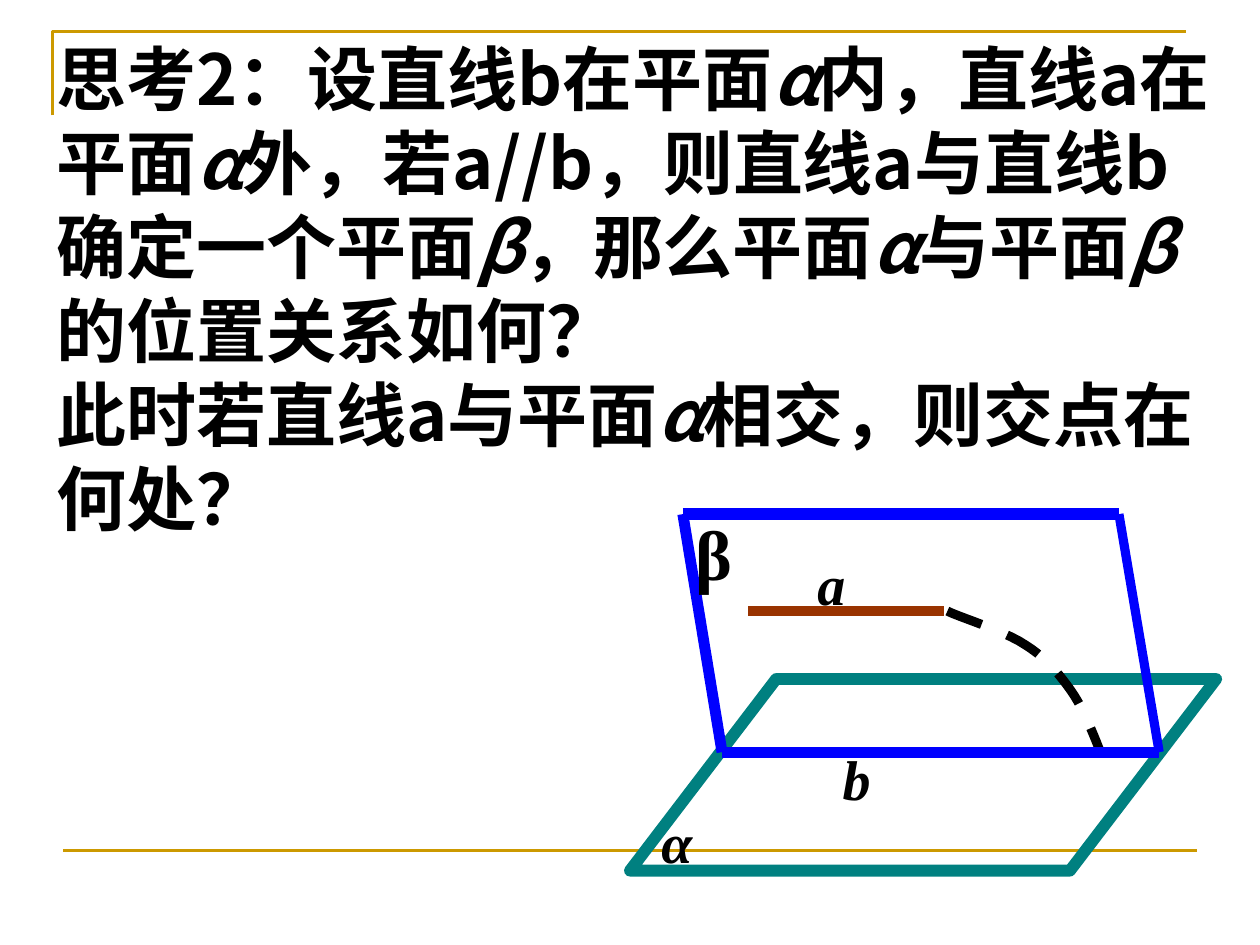
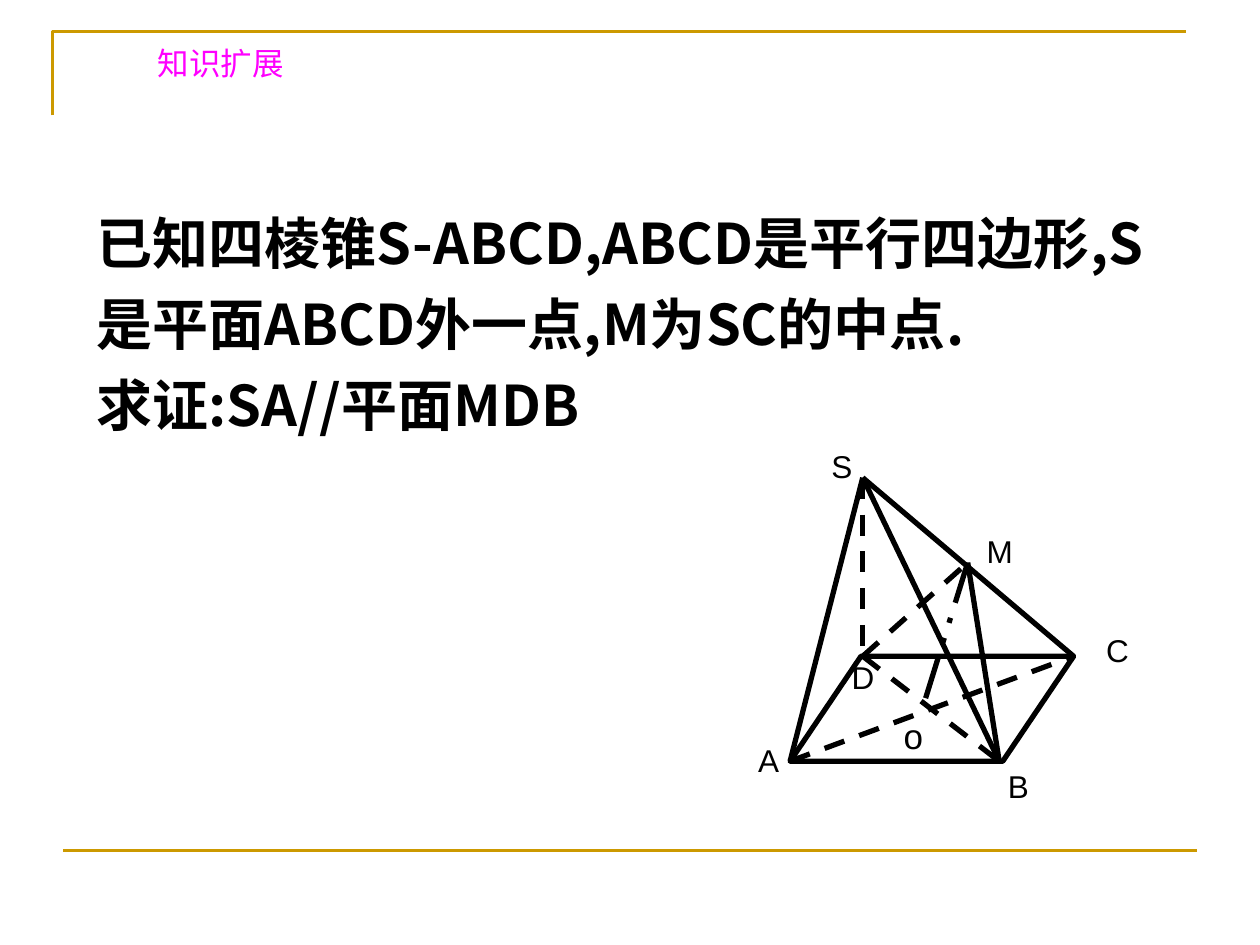
"""Build two geometry slides: a line parallel to a plane, and a pyramid proof."""
from itertools import groupby

from lxml import etree
from pptx import Presentation
from pptx.dml.color import RGBColor
from pptx.enum.dml import MSO_LINE
from pptx.enum.shapes import MSO_CONNECTOR, MSO_SHAPE
from pptx.enum.text import MSO_ANCHOR, MSO_AUTO_SIZE, PP_ALIGN
from pptx.oxml.ns import qn
from pptx.util import Pt

STRAIGHT = MSO_CONNECTOR.STRAIGHT
PARALLELOGRAM = MSO_SHAPE.PARALLELOGRAM
SOLID, DASH, DASH_DOTS = MSO_LINE.SOLID, MSO_LINE.DASH, MSO_LINE.DASH_DOT_DOT
TOP = MSO_ANCHOR.TOP
FIXED = MSO_AUTO_SIZE.NONE
LEFT, CENTER = PP_ALIGN.LEFT, PP_ALIGN.CENTER

GOLD = RGBColor(0xCC, 0x99, 0x00)
BLACK = RGBColor(0x00, 0x00, 0x00)
WHITE = RGBColor(0xFF, 0xFF, 0xFF)
TEAL = RGBColor(0x00, 0x80, 0x80)
BROWN = RGBColor(0x99, 0x33, 0x00)
BLUE = RGBColor(0x00, 0x00, 0xFF)
MAGENTA = RGBColor(0xFF, 0x00, 0xFF)
CHINESE, SERIF, SANS = "Noto Sans CJK SC", "Times New Roman", "Arial"


def add_line(page, start, end, color, width, dash=SOLID):
    """Draw a straight line between two points."""
    line = page.shapes.add_connector(STRAIGHT, *map(Pt, (*start, *end)))
    line.line.color.rgb = color
    line.line.width = Pt(width)
    line.line.dash_style = dash
    etree.SubElement(line.element.spPr, qn("a:effectLst"))
    return line


def add_label(page, text, place, size, font, align, bold=False, italic=False):
    """Write a letter beside a part of a diagram."""
    box = page.shapes.add_textbox(*map(Pt, place))
    box.text_frame.word_wrap = align == LEFT
    para = box.text_frame.paragraphs[0]
    para.text = text
    para.alignment = align
    para.font.size = Pt(size)
    para.font.name = font
    para.font.bold = bold
    para.font.italic = italic
    para.font.color.rgb = BLACK


deck = Presentation()
deck.slide_width, deck.slide_height = Pt(720), Pt(540)
master = deck.slide_master.element
for east_asian in master.iter(qn("a:ea")):
    east_asian.set("typeface", CHINESE)
body_level = next(master.iter(qn("p:bodyStyle"))).find(qn("a:lvl1pPr"))
body_level.set("marL", "0")
body_level.set("indent", "0")
body_level.replace(body_level.find(qn("a:buChar")), etree.Element(qn("a:buNone")))
layout = deck.slide_layouts[1]
planes = deck.slides.add_slide(layout)
pyramid = deck.slides.add_slide(layout)

unused_title = planes.shapes.title.element
unused_title.getparent().remove(unused_title)

title = pyramid.shapes.title
title.left, title.top, title.width, title.height = map(Pt, (36, 21.6, 180, 56))
title.text_frame.text = "知识扩展"
title.text_frame.vertical_anchor = TOP
title.text_frame.auto_size = FIXED
para = title.text_frame.paragraphs[0]
para.alignment = CENTER
para.font.size = Pt(18)
para.font.name = CHINESE
para.font.color.rgb = MAGENTA

questions = [
    (planes, (25.2, 16.6, 689, 295), 40, 1, [
        "思考2：设直线b在平面α内，直线a在平面α外，若a//b，则直线a与直线b"
        "确定一个平面β，那么平面α与平面β的位置关系如何？",
        "此时若直线a与平面α相交，则交点在何处？"]),
    (pyramid, (48, 108, 630, 145.5), 32, 1.2, [
        "已知四棱锥S-ABCD,ABCD是平行四边形,S是平面ABCD外一点,M为SC的中点.",
        "求证:SA//平面MDB"]),
]
for page, place, size, spacing, texts in questions:
    body = page.placeholders[1]
    body.left, body.top, body.width, body.height = map(Pt, place)
    frame = body.text_frame
    frame.auto_size = FIXED
    for index, text in enumerate(texts):
        para = frame.add_paragraph() if index else frame.paragraphs[0]
        para.space_before = Pt(0)
        para.line_spacing = spacing
        para.font.size = Pt(size)
        para.font.name = CHINESE
        para.font.bold = True
        para.font.color.rgb = BLACK
        for is_plane, letters in groupby(text, lambda letter: letter in "αβ"):
            span = para.add_run()
            span.text = "".join(letters)
            if is_plane:
                span.font.italic = True

alpha = planes.shapes.add_shape(PARALLELOGRAM, *map(Pt, (360, 388, 335, 109.5)))
alpha.adjustments[0] = 0.763
alpha.fill.background()
alpha.line.color.rgb = TEAL
alpha.line.width = Pt(6.75)
alpha.shadow.inherit = False

for text, place in [("b", (474.5, 422, 67, 63)), ("a", (460, 310.3, 67, 63)),
                    ("α", (370.8, 458, 55.5, 50.5))]:
    add_label(planes, text, place, 32, SERIF, LEFT, bold=True, italic=True)
add_line(planes, (427.7, 349.2), (539.3, 349.2), BROWN, 6)

curves = [
    ((541.4, 349.2), (548.6, 352.8), (574.6, 360.7), (586.1, 368.6)),
    ((586.1, 368.6), (597.6, 375.8), (604.8, 384.5), (612, 394.6)),
    ((612, 394.6), (619.2, 404.6), (625.7, 421.9), (628.6, 429.1)),
]
arc_points = []
for curve in curves:
    for step in range(1, 11):
        t = step / 10
        weights = ((1 - t) ** 3, 3 * t * (1 - t) ** 2, 3 * t * t * (1 - t), t ** 3)
        arc_points.append(tuple(
            Pt(sum(weight * point[axis] for weight, point in zip(weights, curve)))
            for axis in (0, 1)))
builder = planes.shapes.build_freeform(*map(Pt, curves[0][0]))
builder.add_line_segments(arc_points, close=False)
arc = builder.convert_to_shape()
arc.fill.background()
arc.line.color.rgb = BLACK
arc.line.width = Pt(5.25)
arc.line.dash_style = DASH
arc.shadow.inherit = False

top_left, top_right = (390.2, 293.8), (639.4, 293.8)
bottom_left, bottom_right = (412.6, 429.8), (662.4, 429.8)
for start, end, width in [(top_left, bottom_left, 6.25),
                          (top_right, bottom_right, 5.25),
                          (bottom_left, bottom_right, 6.25),
                          (top_left, top_right, 7)]:
    add_line(planes, start, end, BLUE, width)
add_label(planes, "β", (390.2, 288, 51, 55.5), 40, SERIF, LEFT, bold=True)

base = pyramid.shapes.add_shape(PARALLELOGRAM, *map(Pt, (451.5, 375, 162, 60)))
base.adjustments[0] = 0.675
base.fill.solid()
base.fill.fore_color.rgb = WHITE
base.line.color.rgb = BLACK
base.line.width = Pt(3)
base.shadow.inherit = False

vertices = {"S": (493, 273), "A": (451.5, 435), "B": (571, 435), "C": (613.5, 375),
            "D": (493, 375), "M": (553, 321.5), "O": (528, 402)}
edges = [("SA SC SB MB", SOLID), ("SD DM DB AC", DASH), ("MO", DASH_DOTS)]
for names, dash in edges:
    for start, end in names.split():
        add_line(pyramid, vertices[start], vertices[end], BLACK, 3, dash)

for text, x, y, width, size in [
        ("B", 568.8, 434.9, 26, 18), ("S", 468, 252, 26, 18), ("M", 556.5, 300.2, 29.5, 18),
        ("C", 625, 357.1, 19.4, 18), ("A", 426.2, 419.8, 26, 18), ("D", 479.5, 372.2, 27.4, 18),
        ("o", 504, 404.6, 36, 20)]:
    add_label(pyramid, text, (x, y, width, 29), size, SANS, CENTER)

builder = planes.shapes.build_freeform(Pt(30), Pt(66))
builder.add_line_segments([(Pt(30), Pt(18)), (Pt(678), Pt(18))], close=False)
corner = builder.convert_to_shape()
corner.fill.background()
corner.line.color.rgb = GOLD
corner.line.width = Pt(1.5)
corner.shadow.inherit = False
footer_rule = add_line(planes, (36, 486), (684, 486), GOLD, 1.5)
for decoration in (corner, footer_rule):
    layout.shapes.element.append(decoration.element)

deck.save("out.pptx")
